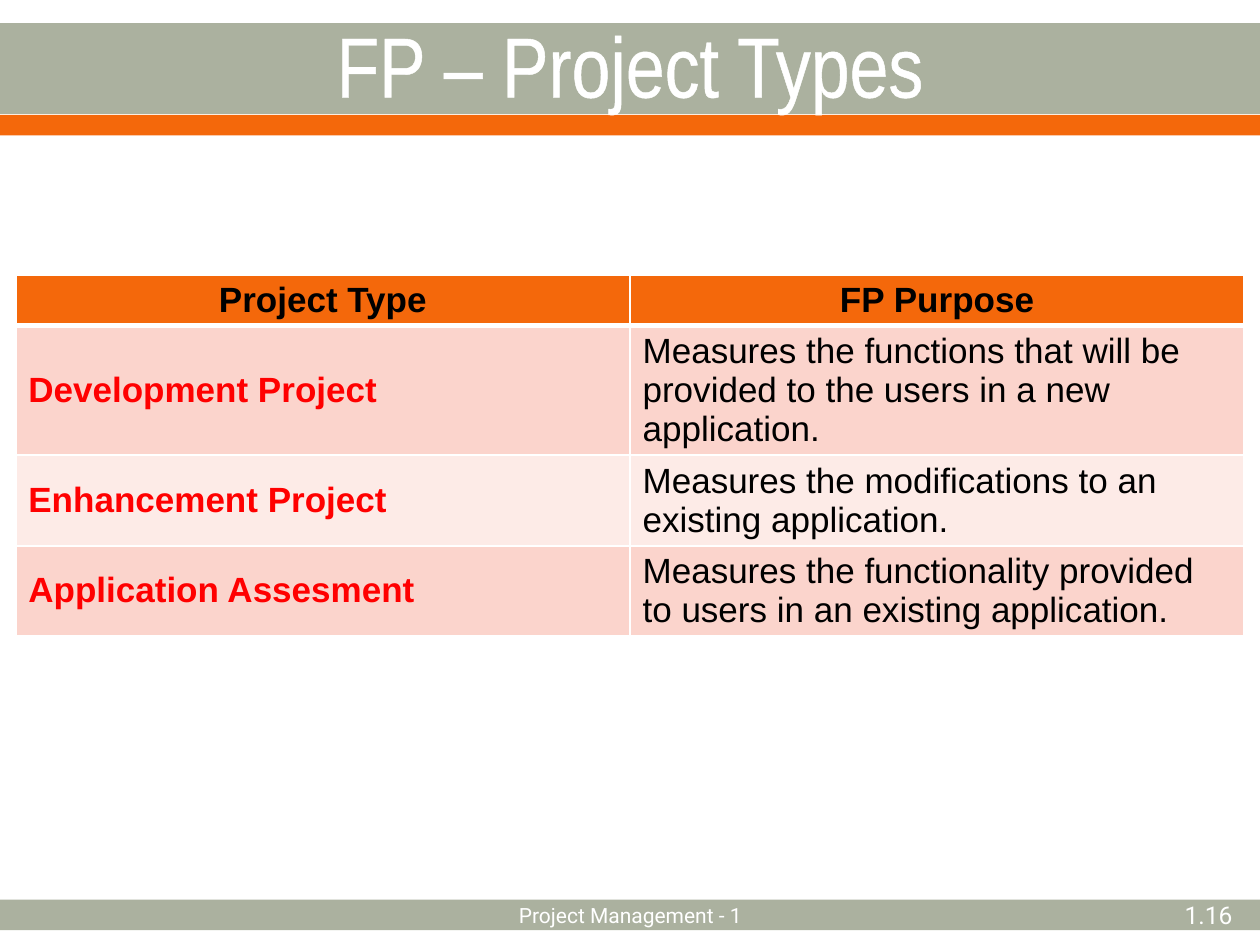
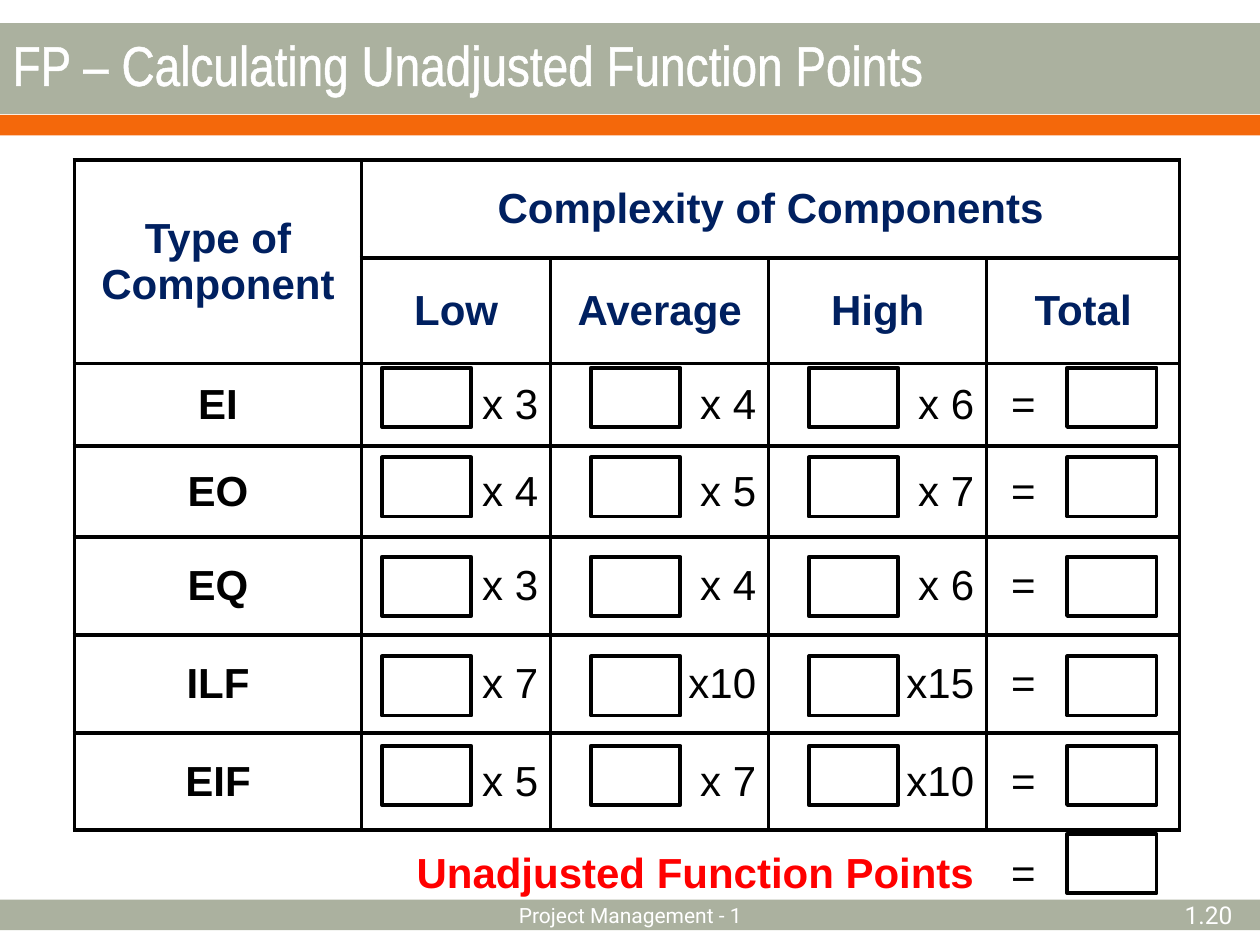
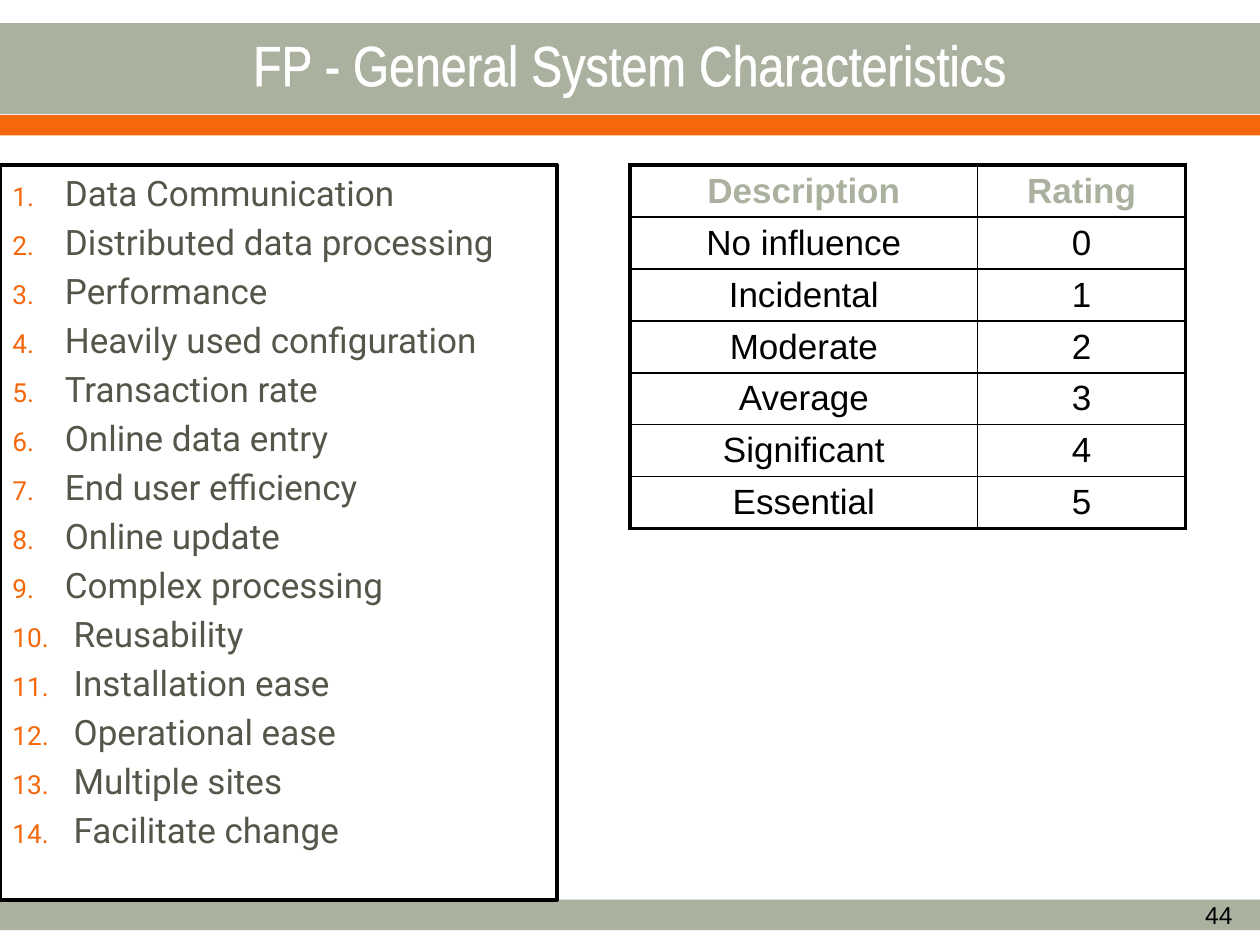
from dataclasses import dataclass

from lxml.etree import SubElement
from pptx import Presentation
from pptx.dml.color import RGBColor
from pptx.enum.shapes import MSO_SHAPE
from pptx.enum.text import MSO_ANCHOR, MSO_AUTO_SIZE, PP_ALIGN
from pptx.oxml import parse_xml
from pptx.oxml.ns import nsdecls, qn
from pptx.util import Pt


@dataclass(frozen=True)
class Theme:
    sage: RGBColor = RGBColor.from_string("ABB19F")
    orange: RGBColor = RGBColor.from_string("F4680B")
    white: RGBColor = RGBColor.from_string("FFFFFF")
    black: RGBColor = RGBColor.from_string("000000")
    red: RGBColor = RGBColor.from_string("FF0000")
    navy: RGBColor = RGBColor.from_string("002060")
    olive: RGBColor = RGBColor.from_string("55554A")
    rose: RGBColor = RGBColor.from_string("FBD4CC")
    pale_rose: RGBColor = RGBColor.from_string("FDEBE7")
    title_font: str = "Arial Narrow"
    body_font: str = "Roboto"
    table_font: str = "Arial"
    footer_size: float = 12
    number_size: float = 14
    text_size: float = 20
    grid_size: float = 24
    thick: float = 2.25
    thin: float = 1
    cell_margin: float = 1
    plain_table: str = "{2D5ABB26-0587-4C30-8999-92F81FD0307C}"


theme = Theme()


def write(para, text, size=theme.text_size, font=theme.table_font, color=theme.black,
          bold=False, align=PP_ALIGN.LEFT, outline=None):
    para.alignment = align
    span = para.add_run()
    span.text = text
    span.font.size = Pt(size)
    span.font.name = font
    span.font.bold = bold
    span.font.color.rgb = color
    if outline:
        span._r.get_or_add_rPr().insert(0, parse_xml(
            f'<a:ln {nsdecls("a")} w="{Pt(outline)}"><a:solidFill>'
            f'<a:srgbClr val="{color}"/></a:solidFill></a:ln>'))


def frame_cell(cell, color, **widths):
    cell.vertical_anchor = MSO_ANCHOR.MIDDLE
    cell.margin_top = cell.margin_bottom = Pt(theme.cell_margin)
    sides = [side for side in "LRTB" if side in widths]
    for place, side in enumerate(sides):
        cell._tc.get_or_add_tcPr().insert(place, parse_xml(
            f'<a:ln{side} {nsdecls("a")} w="{Pt(widths[side])}"><a:solidFill>'
            f'<a:srgbClr val="{color}"/></a:solidFill></a:ln{side}>'))


deck = Presentation()
deck.slide_width, deck.slide_height = Pt(720), Pt(540)
layout = deck.slide_layouts[5]

headings = [
    ("FP – Project Types", 48.6, PP_ALIGN.CENTER),
    ("FP – Calculating Unadjusted Function Points", 32, PP_ALIGN.LEFT),
    ("FP - General System Characteristics", 32.4, PP_ALIGN.CENTER),
]
pages = []
for heading, size, align in headings:
    page = deck.slides.add_slide(layout)
    title = page.shapes.title
    title.left, title.top, title.width, title.height = Pt(0), Pt(14), Pt(720), Pt(44.6)
    title.text_frame.auto_size = MSO_AUTO_SIZE.NONE
    title.text_frame.vertical_anchor = MSO_ANCHOR.MIDDLE
    write(title.text_frame.paragraphs[0], heading, size=size, font=theme.title_font,
          color=theme.white, align=align, outline=1.1)
    pages.append(page)
types_page, points_page, traits_page = pages

bands = [(514, 17.5, theme.sage), (13.2, 52, theme.sage), (65.7, 11.7, theme.orange)]
for number, (top, height, color) in enumerate(bands):
    band = types_page.shapes.add_shape(MSO_SHAPE.RECTANGLE, Pt(0), Pt(top), Pt(720), Pt(height))
    band.shadow.inherit = False
    band.fill.solid()
    band.fill.fore_color.rgb = color
    band.line.fill.background()
    band.element.nvSpPr.cNvPr.set("id", str(100 + number))
    layout.shapes.element.insert(2 + number, band.element)

footer = dict(size=theme.footer_size, font=theme.body_font, color=theme.white,
              align=PP_ALIGN.CENTER)
page_number = dict(size=theme.number_size, font=theme.body_font, color=theme.white,
                   align=PP_ALIGN.RIGHT)
plain_number = dict(page_number, font=theme.table_font, color=theme.black)
footers = [
    (types_page, "Project Management - 1", 246.2, 228.2, footer),
    (types_page, "1.16", 586.8, 124.6, page_number),
    (points_page, "Project Management - 1", 246.2, 228.2, footer),
    (points_page, "1.20", 586.8, 124.6, page_number),
    (traits_page, "44", 586.8, 124.6, plain_number),
]
for page, text, left, width, style in footers:
    box = page.shapes.add_textbox(Pt(left), Pt(508.3), Pt(width), Pt(28.8))
    box.text_frame.word_wrap = True
    box.text_frame.vertical_anchor = MSO_ANCHOR.MIDDLE
    write(box.text_frame.paragraphs[0], text, **style)

project_types = [
    ("Project Type", "FP Purpose"),
    ("Development Project",
     "Measures the functions that will be provided to the users in a new application."),
    ("Enhancement Project", "Measures the modifications to an existing application."),
    ("Application Assesment",
     "Measures the functionality provided to users in an existing application."),
]
row_heights = [29, 74, 52, 51]
types_table = types_page.shapes.add_table(4, 2, Pt(9), Pt(157), Pt(702),
                                          Pt(sum(row_heights))).table
for row, (texts, height) in enumerate(zip(project_types, row_heights)):
    types_table.rows[row].height = Pt(height)
    for column, text in enumerate(texts):
        cell = types_table.cell(row, column)
        cell.fill.solid()
        if row == 0:
            cell.fill.fore_color.rgb = theme.orange
            style = dict(bold=True, align=PP_ALIGN.CENTER)
        else:
            cell.fill.fore_color.rgb = theme.rose if row % 2 else theme.pale_rose
            style = dict(bold=True, color=theme.red) if column == 0 else {}
        write(cell.text_frame.paragraphs[0], text, **style)
        frame_cell(cell, theme.white, L=1, R=1, T=3 if row == 1 else 1, B=3 if row == 0 else 1)

complexity = [
    ("Type of Component", "Complexity of Components", "", "", ""),
    ("", "Low", "Average", "High", "Total"),
    ("EI", "x 3", "x 4", "x 6", "="),
    ("EO", "x 4", "x 5", "x 7", "="),
    ("EQ", "x 3", "x 4", "x 6", "="),
    ("ILF", "x 7", "x10", "x15", "="),
    ("EIF", "x 5", "x 7", "x10", "="),
    ("Unadjusted Function Points", "", "", "", "="),
]
column_widths = [164.2, 108, 124.6, 124.6, 110.2]
row_heights = [56, 60.5, 47, 52, 56, 56, 55.5, 50]
points_table = points_page.shapes.add_table(8, 5, Pt(42.5), Pt(91.4), Pt(sum(column_widths)),
                                            Pt(sum(row_heights))).table
for column, width in enumerate(column_widths):
    points_table.columns[column].width = Pt(width)
points_table.cell(0, 0).merge(points_table.cell(1, 0))
points_table.cell(0, 1).merge(points_table.cell(0, 4))
points_table.cell(7, 0).merge(points_table.cell(7, 3))
for row, (texts, height) in enumerate(zip(complexity, row_heights)):
    points_table.rows[row].height = Pt(height)
    for column, text in enumerate(texts):
        cell = points_table.cell(row, column)
        cell.fill.background()
        frame_cell(cell, theme.black, **dict.fromkeys("T" if row == 7 else "LRTB", theme.thick))
        if not text:
            continue
        if row < 2:
            style = dict(color=theme.navy, bold=True, align=PP_ALIGN.CENTER)
        elif text == "=":
            style = {}
            cell.margin_left = Pt(13.9)
        elif row == 7:
            style = dict(color=theme.red, bold=True, align=PP_ALIGN.RIGHT)
        elif column == 0:
            style = dict(bold=True, align=PP_ALIGN.CENTER)
        else:
            style = dict(align=PP_ALIGN.RIGHT)
        write(cell.text_frame.paragraphs[0], text, size=theme.grid_size, **style)

entry_lefts = [218.2, 337.7, 462.2, 609.8]
entry_tops = [210.2, 261.4, 318.2, 375.1, 426.2, 476.6]
for top in entry_tops:
    for left in entry_lefts[-1:] if top == entry_tops[-1] else entry_lefts:
        entry = points_page.shapes.add_shape(MSO_SHAPE.RECTANGLE, Pt(left), Pt(top),
                                             Pt(51.1), Pt(33.8))
        entry.shadow.inherit = False
        entry.fill.background()
        entry.line.color.rgb = theme.black
        entry.line.width = Pt(theme.thick)

ratings = ["No influence", "Incidental", "Moderate", "Average", "Significant", "Essential"]
rating_rows = [("Description", "Rating")] + [(name, str(n)) for n, name in enumerate(ratings)]
row_height = 29.7
last = len(rating_rows) - 1
ratings_table = traits_page.shapes.add_table(len(rating_rows), 2, Pt(360), Pt(94.3), Pt(317.5),
                                             Pt(row_height * len(rating_rows))).table
ratings_table.columns[0].width, ratings_table.columns[1].width = Pt(198.7), Pt(118.8)
for row, texts in enumerate(rating_rows):
    ratings_table.rows[row].height = Pt(row_height)
    for column, text in enumerate(texts):
        cell = ratings_table.cell(row, column)
        cell.margin_left = cell.margin_right = Pt(23)
        cell.fill.background()
        write(cell.text_frame.paragraphs[0], text, bold=row == 0, align=PP_ALIGN.CENTER,
              color=theme.sage if row == 0 else theme.black)
        frame_cell(cell, theme.black,
                   L=theme.thick if column == 0 else theme.thin,
                   R=theme.thick if column == 1 else theme.thin,
                   T=theme.thick if row == 0 else theme.thin,
                   B=theme.thick if row == last else theme.thin)

for table in (types_table, points_table, ratings_table):
    table.first_row = table.horz_banding = False
    table._tbl.tblPr.find(qn("a:tableStyleId")).text = theme.plain_table

characteristics = [
    "Data Communication", "Distributed data processing", "Performance",
    "Heavily used configuration", "Transaction rate", "Online data entry",
    "End user efficiency", "Online update", "Complex processing", "Reusability",
    "Installation ease", "Operational ease", "Multiple sites", "Facilitate change",
]
panel = traits_page.shapes.add_shape(MSO_SHAPE.RECTANGLE, Pt(0), Pt(94.3), Pt(318.2), Pt(419.8))
panel.shadow.inherit = False
panel.fill.background()
panel.line.color.rgb = theme.black
panel.line.width = Pt(theme.thick)
frame = panel.text_frame
frame.word_wrap = True
frame.vertical_anchor = MSO_ANCHOR.TOP
for number, text in enumerate(characteristics, 1):
    para = frame.paragraphs[0] if number == 1 else frame.add_paragraph()
    write(para, text, font=theme.body_font, color=theme.olive)
    para.space_before = Pt(4)
    indent = Pt(30 if number < 10 else 35)
    properties = para._p.get_or_add_pPr()
    properties.set("marL", str(indent))
    properties.set("indent", str(-indent))
    bullet_color = SubElement(properties, qn("a:buClr"))
    SubElement(bullet_color, qn("a:srgbClr"), val=str(theme.orange))
    SubElement(properties, qn("a:buSzPct"), val="75000")
    SubElement(properties, qn("a:buFont"), typeface=theme.body_font)
    SubElement(properties, qn("a:buAutoNum"), type="arabicPeriod")

deck.save("out.pptx")
